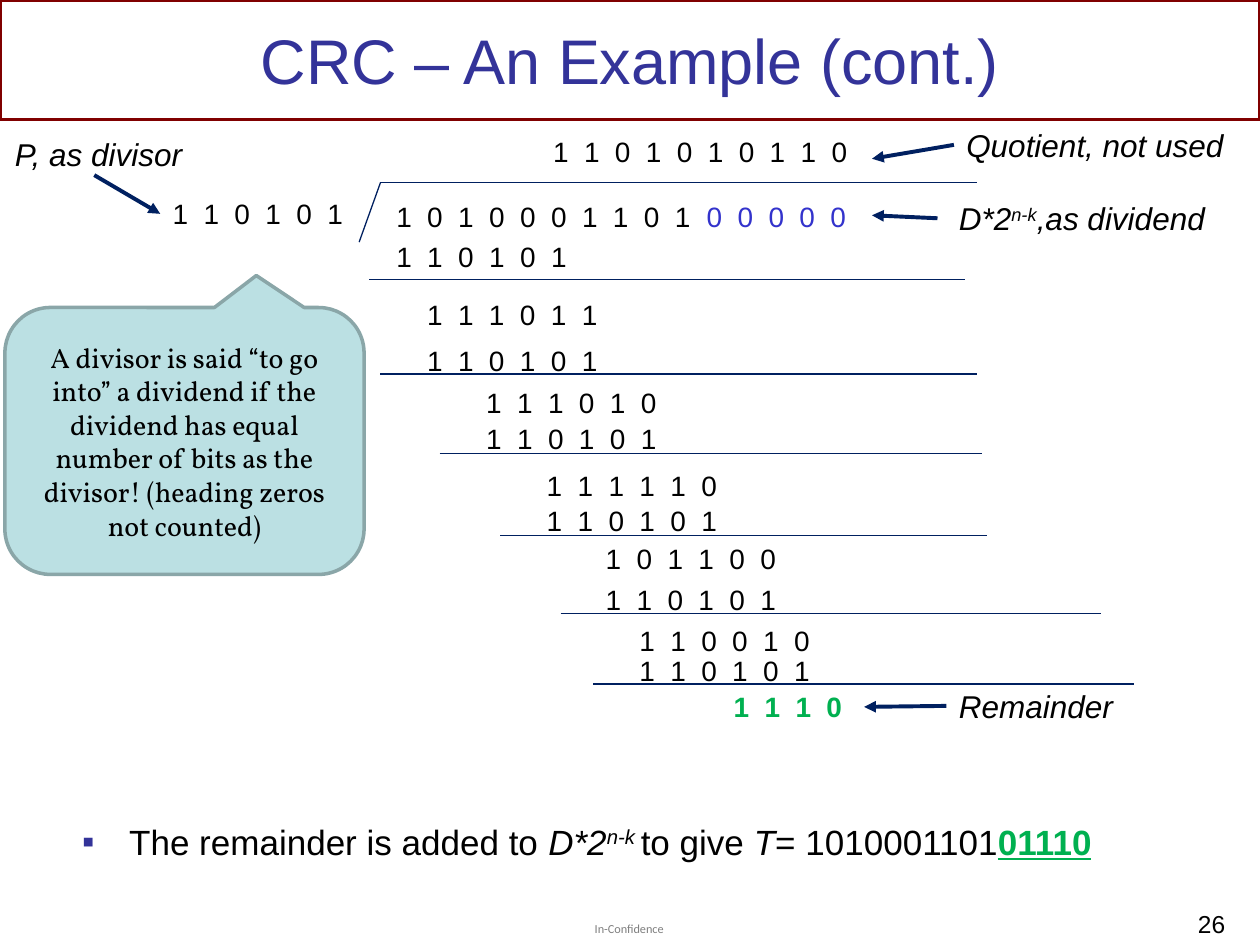
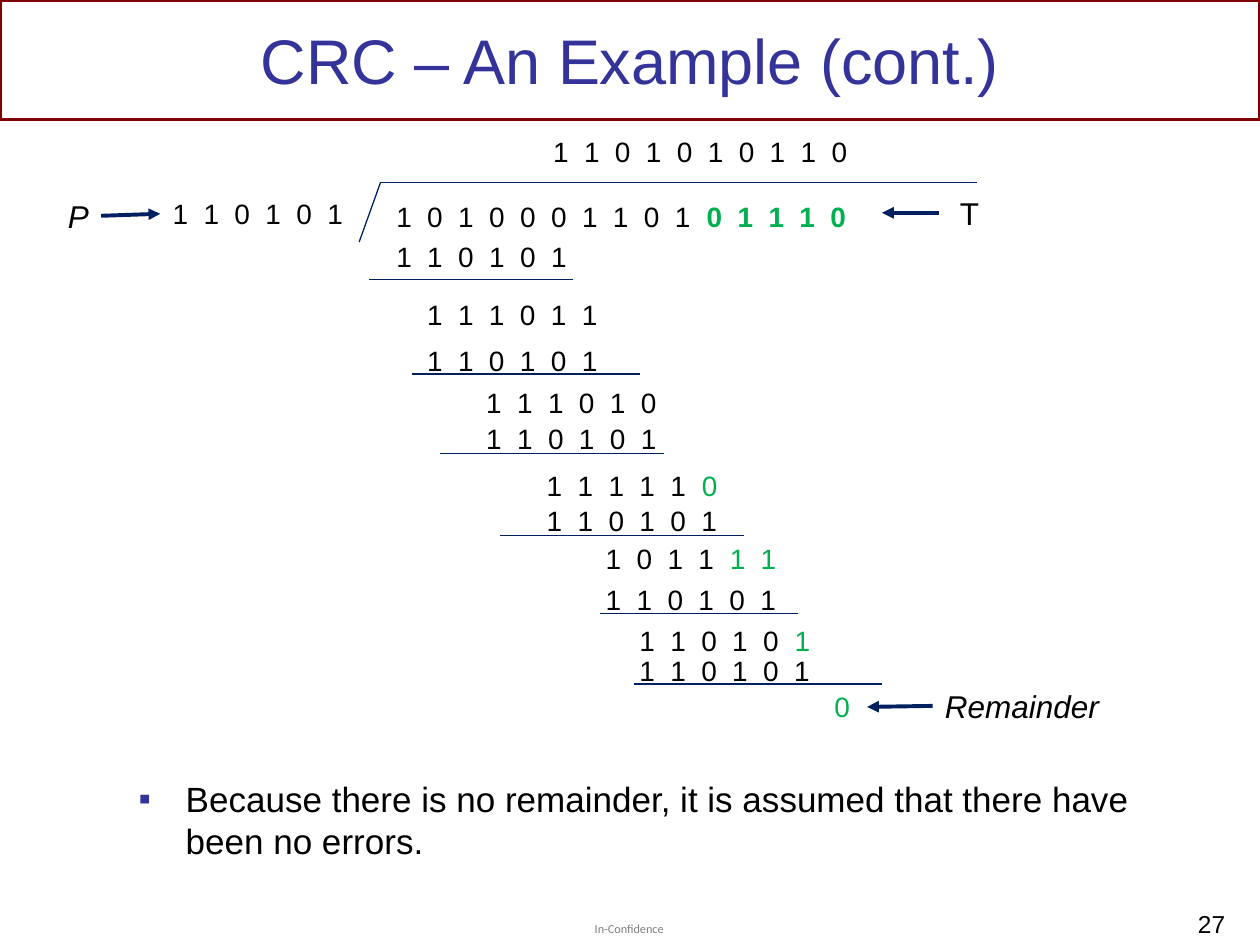
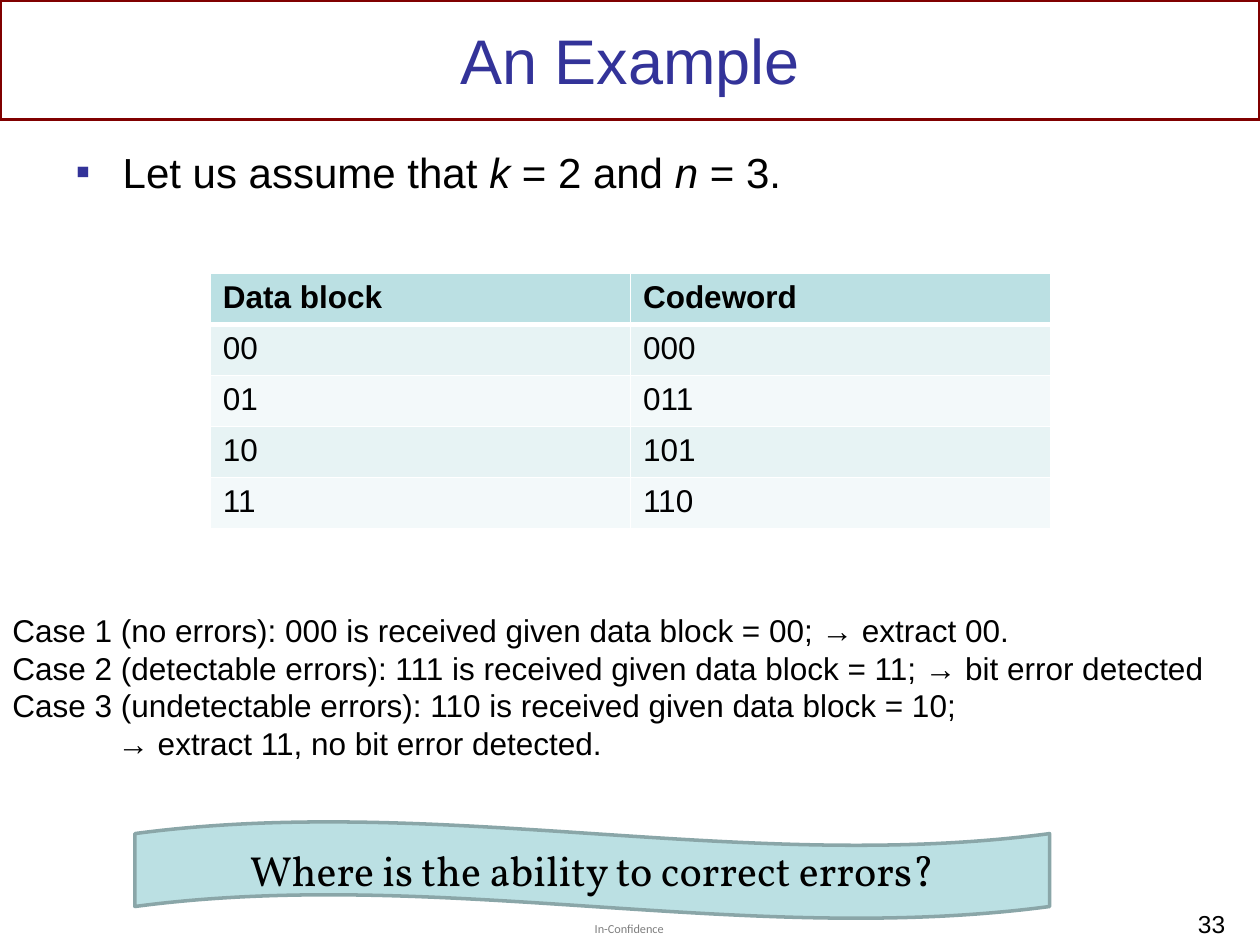
from lxml import etree
from pptx import Presentation
from pptx.dml.color import RGBColor
from pptx.enum.shapes import MSO_CONNECTOR as Connector, MSO_SHAPE as Shape
from pptx.enum.text import MSO_ANCHOR as Anchor, MSO_AUTO_SIZE as AutoSize, PP_ALIGN as Align
from pptx.oxml.ns import qn
from pptx.util import Cm, Pt

COLORS = {
    "text": "000000", "title": "333399", "band": "800000", "navy": "002060",
    "footer": "7F7F7F", "blue": "3333CC", "green": "00B050",
    "panel": "BBE0E3", "panel_edge": "8AA6A8", "white": "FFFFFF",
    "row_dark": "E7F3F4", "row_light": "F3F9FA",
}
TOP, LEFT, BOTTOM, RIGHT = range(4)

# Long division: left edge, top of the number, top of the subtraction, rule below
STEPS = [
    (7.74, 3.89, 4.7, 5.64), (8.36, 5.87, 6.81, 7.54), (9.55, 7.65, 8.38, 9.14),
    (10.77, 9.32, 10.03, 10.8), (11.96, 10.8, 11.61, 12.37),
    (12.64, 12.45, 13.06, 13.79),
]
DIVISOR = "1 1 0 1 0 1"
QUOTIENT = "1 1 0 1 0 1 0 1 1 0"
DIGIT_SPACING = 222  # hundredths of a point, added after each character


def color(name):
    return RGBColor.from_string(COLORS[name])


def write(paragraph, text, size=18, font="Arial", fill="text", bold=False,
          italic=False, underline=False, raised=False, spacing=0):
    run = paragraph.add_run()
    run.text = text
    run.font.size, run.font.name = Pt(size), font
    run.font.bold, run.font.italic, run.font.underline = bold, italic, underline
    run.font.color.rgb = color(fill)
    properties = run._r.get_or_add_rPr()
    if raised:
        properties.set("baseline", "30000")
    if spacing:
        properties.set("spc", str(spacing))


def write_runs(paragraph, runs, **style):
    """Write a string, or a list of strings and (string, format) pairs."""
    for run in [runs] if isinstance(runs, str) else runs:
        text, changes = (run, {}) if isinstance(run, str) else run
        write(paragraph, text, **{**style, **changes})


def place(shape, left, top, width, height):
    shape.left, shape.top, shape.width, shape.height = map(Cm, (left, top, width, height))


class Deck:
    def __init__(self):
        self.presentation = Presentation()
        self.presentation.slide_width, self.presentation.slide_height = Cm(25.4), Cm(19.05)
        self.slide = None

    def start(self, title, number):
        self.slide = self.presentation.slides.add_slide(self.presentation.slide_layouts[1])
        self.outline(Shape.RECTANGLE, 0, 0, 25.4, 2.41, "band")
        self.text(11.99, 18.57, 1.7, 0.3, "In-Confidence", inset=0,
                  size=7, font="Calibri", fill="footer")
        self.text(19.35, 18.21, 5.6, 0.76, str(number), align=Align.RIGHT, size=14)
        shape = self.slide.shapes.title
        place(shape, 1.27, 0.2, 22.86, 2)
        frame = shape.text_frame
        frame.auto_size, frame.vertical_anchor = AutoSize.NONE, Anchor.MIDDLE
        frame.paragraphs[0].alignment = Align.CENTER
        write(frame.paragraphs[0], title, size=36, fill="title")

    def outline(self, kind, left, top, width, height, line, fill=None):
        shape = self.slide.shapes.add_shape(kind, *map(Cm, (left, top, width, height)))
        shape.shadow.inherit = False
        if fill:
            shape.fill.solid()
            shape.fill.fore_color.rgb = color(fill)
        else:
            shape.fill.background()
        shape.line.color.rgb, shape.line.width = color(line), Pt(2)
        return shape

    def panel(self, kind, left, top, width, height, text, size):
        shape = self.outline(kind, left, top, width, height, "panel_edge", "panel")
        frame = shape.text_frame
        frame.word_wrap, frame.vertical_anchor = True, Anchor.MIDDLE
        frame.paragraphs[0].alignment = Align.CENTER
        write(frame.paragraphs[0], text, size=size, font="Vollkorn")
        return shape

    def text(self, left, top, width, height, runs, align=Align.LEFT, inset=None, **style):
        shape = self.slide.shapes.add_textbox(*map(Cm, (left, top, width, height)))
        frame = shape.text_frame
        frame.word_wrap = True
        if inset is not None:
            frame.margin_left = Cm(inset)
        if inset == 0:
            frame.margin_top = frame.margin_right = frame.margin_bottom = 0
        frame.paragraphs[0].alignment = align
        write_runs(frame.paragraphs[0], runs, **style)
        return shape

    def digits(self, left, top, runs, width=4.2, **style):
        return self.text(left, top, width, 0.94, runs, size=16,
                         spacing=DIGIT_SPACING, **style)

    def bullet(self, left, top, width, height, runs, size):
        shape = self.slide.placeholders[1]
        place(shape, left, top, width, height)
        shape.text_frame.auto_size = AutoSize.NONE
        paragraph = shape.text_frame.paragraphs[0]
        properties = paragraph._p.get_or_add_pPr()
        properties.set("marL", str(Cm(0.95)))
        properties.set("indent", str(-Cm(0.95)))
        bullet_color = etree.SubElement(properties, qn("a:buClr"))
        etree.SubElement(bullet_color, qn("a:srgbClr"), val=COLORS["title"])
        etree.SubElement(properties, qn("a:buChar"), char="▪")
        paragraph.space_before = Pt(0)
        write_runs(paragraph, runs, size=size)

    def line(self, start, end, width=0.75):
        connector = self.slide.shapes.add_connector(
            Connector.STRAIGHT, *map(Cm, (*start, *end)))
        connector.line.color.rgb, connector.line.width = color("navy"), Pt(width)
        etree.SubElement(connector._element.spPr, qn("a:effectLst"))
        return connector

    def arrow(self, start=(0, 0), end=(0, 0), start_joint=None, end_joint=None):
        """A joint is a (shape, side) pair and overrides the point."""
        connector = self.line(start, end, 2.25)
        if start_joint:
            connector.begin_connect(*start_joint)
        if end_joint:
            connector.end_connect(*end_joint)
        etree.SubElement(connector.line._get_or_add_ln(), qn("a:tailEnd"), type="triangle")

    def division(self, numbers, rules):
        """Draw the whole long division and return the divisor's box."""
        corner = (7.67, 3.68)
        for end in ((19.69, 3.68), (7.24, 4.88)):
            self.line(corner, end)
        self.digits(10.9, 2.59, QUOTIENT, width=8.5)
        for (left, top, lower_top, rule_y), number, (x1, x2) in zip(STEPS, numbers, rules):
            self.digits(left, top, number, width=11 if top == STEPS[0][1] else 4.2)
            self.digits(left, lower_top, DIVISOR)
            self.line((x1, rule_y), (x2, rule_y))
        return self.digits(3.23, 3.84, DIVISOR)

    def table(self, left, top, width, row_height, rows):
        shape = self.slide.shapes.add_table(
            len(rows), len(rows[0]),
            *map(Cm, (left, top, width, row_height * len(rows))))
        for r, values in enumerate(rows):
            fill = "panel" if r == 0 else ("row_light", "row_dark")[r % 2]
            for c, value in enumerate(values):
                cell = shape.table.cell(r, c)
                write(cell.text_frame.paragraphs[0], value, bold=r == 0)
                cell.fill.solid()
                cell.fill.fore_color.rgb = color(fill)
                widths = {"L": 1, "R": 1, "T": 3 if r == 1 else 1, "B": 3 if r == 0 else 1}
                self.borders(cell, widths)

    def borders(self, cell, widths):
        properties = cell._tc.get_or_add_tcPr()
        for position, (side, width) in enumerate(widths.items()):
            border = etree.Element(qn(f"a:ln{side}"), w=str(Pt(width)))
            solid = etree.SubElement(border, qn("a:solidFill"))
            etree.SubElement(solid, qn("a:srgbClr"), val=COLORS["white"])
            properties.insert(position, border)


def build_sender_slide(deck):
    green, italic = {"fill": "green", "bold": True}, {"italic": True}
    power = {"italic": True, "raised": True}
    deck.start("CRC – An Example (cont.)", 26)
    divisor = deck.division(
        [["1 0 1 0 0 0 1 1 0 1 ", ("0 0 0 0 0", {"fill": "blue"})],
         "1 1 1 0 1 1", "1 1 1 0 1 0", "1 1 1 1 1 0", "1 0 1 1 0 0", "1 1 0 0 1 0"],
        [(7.44, 19.46), (7.67, 19.69), (8.86, 19.79),
         (10.08, 19.89), (11.3, 22.2), (11.96, 22.86)])
    deck.digits(14.54, 13.77, "1 1 1 0", **green)

    # Labels and their arrows
    deck.text(0.05, 2.59, 5.18, 1.02, "P, as divisor", italic=True)
    deck.arrow(start=(1.9, 3.53), end_joint=(divisor, LEFT))
    dividend = deck.text(18.9, 3.89, 6.3, 1.02, [
        ("D*2", italic), ("n-k", power), (",as dividend", italic)], inset=0.43)
    quotient = deck.text(19.23, 2.41, 6.1, 1.02, "Quotient, not used", italic=True)
    remainder = deck.text(19.08, 13.72, 3.84, 1.02, "Remainder", italic=True)
    for label, end in ((dividend, (17.58, 4.34)), (quotient, (17.58, 3.2)),
                       (remainder, (17.42, 14.25))):
        deck.arrow(end=end, start_joint=(label, LEFT))

    callout = deck.panel(
        Shape.ROUNDED_RECTANGULAR_CALLOUT, 0.1, 6.2, 7.24, 5.38,
        "A divisor is said “to go into” a dividend if the dividend has equal "
        "number of bits as the divisor! (heading zeros not counted)", 16)
    for index, value in enumerate((0.2, -0.62, 0.17)):
        callout.adjustments[index] = value
    deck.bullet(1.4, 16.41, 21.95, 1.88, [
        "The remainder is added to ", ("D*2", italic), ("n-k ", power), "to give ",
        ("T", italic), "= 1010001101", ("01110", {**green, "underline": True})], 20)


def build_receiver_slide(deck):
    green = {"fill": "green"}
    deck.start("CRC – An Example (cont.)", 27)
    divisor = deck.division(
        [["1 0 1 0 0 0 1 1 0 1 ", ("0 1 1 1 0", {"fill": "green", "bold": True})],
         "1 1 1 0 1 1", "1 1 1 0 1 0", ["1 1 1 1 1 ", ("0", green)],
         ["1 0 1 1 ", ("1 1", green)], ["1 1 0 1 0 ", ("1", green)]],
        [(7.44, 11.56), (8.31, 12.9), (8.86, 13.39),
         (10.08, 14.99), (12.09, 16.08), (12.78, 17.78)])
    deck.digits(16.57, 13.77, "0", width=1, **green)

    # Labels and their arrows
    pattern = deck.text(1.12, 3.84, 0.92, 1.02, "P", italic=True)
    deck.arrow(start_joint=(pattern, RIGHT), end_joint=(divisor, LEFT))
    frame_label = deck.text(18.92, 3.78, 1.2, 1.02, "T", inset=0.43)
    remainder = deck.text(18.8, 13.72, 3.84, 1.02, "Remainder", italic=True)
    for label, end in ((frame_label, (17.78, 4.29)), (remainder, (17.48, 14.25))):
        deck.arrow(end=end, start_joint=(label, LEFT))

    deck.bullet(2.54, 15.55, 20.75, 2.21,
                "Because there is no remainder, it is assumed that there have "
                "been no errors.", 20)


def build_code_slide(deck):
    deck.start("An Example", 33)
    italic = {"italic": True}
    deck.bullet(1.27, 2.82, 22.86, 2.57, [
        "Let us assume that ", ("k", italic), " = 2 and ", ("n", italic), " = 3."], 24)
    deck.table(4.24, 5.51, 16.94, 1.03, [
        ("Data block", "Codeword"),
        ("00", "000"), ("01", "011"), ("10", "101"), ("11", "110")])

    # Three cases, the last one continued on an indented line
    cases = deck.text(0, 12.19, 25, 3.33,
                      "Case 1 (no errors): 000 is received given data block = 00; → extract 00.")
    for line in (
            "Case 2 (detectable errors): 111 is received given data block = 11; "
            "→ bit error detected",
            "Case 3 (undetectable errors): 110 is received given data block = 10;",
            "→ extract 11, no bit error detected."):
        paragraph = cases.text_frame.add_paragraph()
        if line.startswith("→"):
            paragraph._p.get_or_add_pPr().set("marL", str(Cm(2.12)))
        write(paragraph, line)

    deck.panel(Shape.WAVE, 2.72, 16.56, 18.44, 1.96,
               "Where is the ability to correct errors?", 24)


def main():
    deck = Deck()
    build_sender_slide(deck)
    build_receiver_slide(deck)
    build_code_slide(deck)
    deck.presentation.save("out.pptx")


if __name__ == "__main__":
    main()
